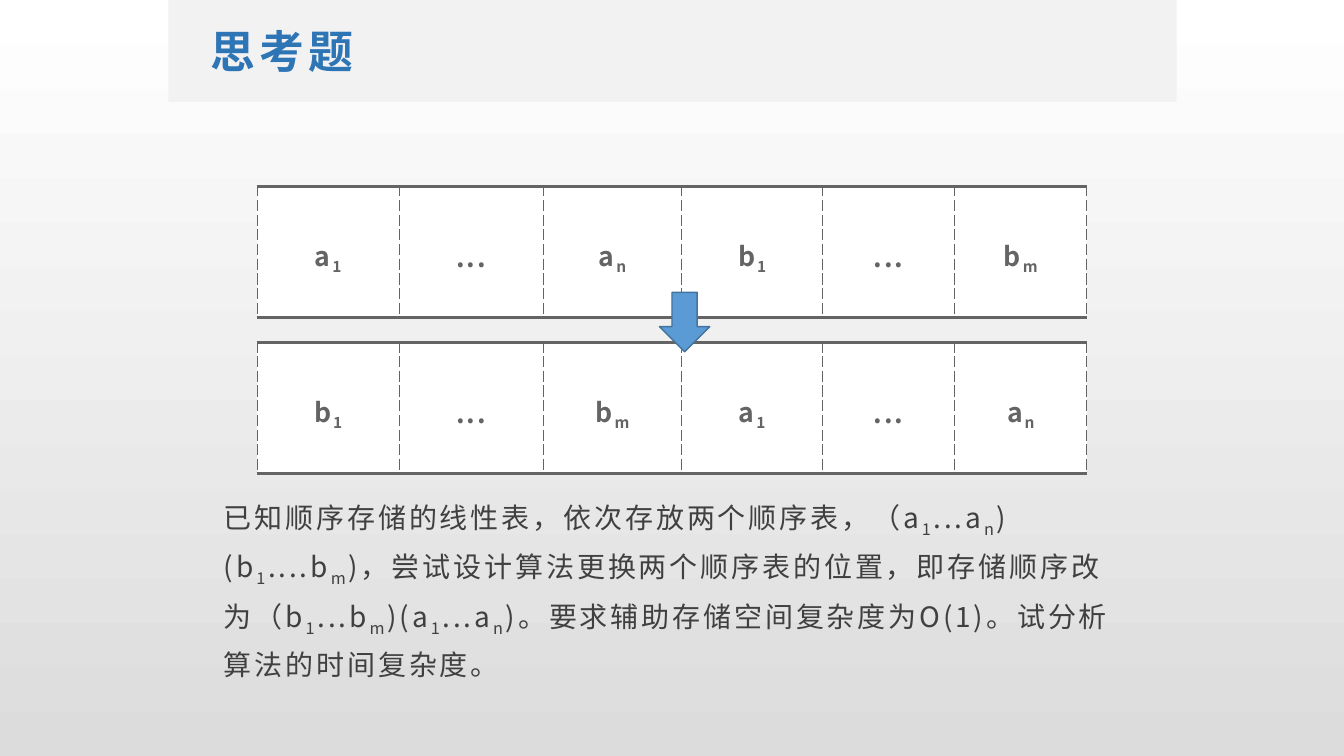
import pptx
import pptx.util
import pptx.dml.color
import pptx.enum.shapes
import pptx.enum.text
import pptx.oxml.ns
from lxml import etree

Inches = pptx.util.Inches
Pt = pptx.util.Pt
FONT = "Noto Sans CJK SC"
COLORS = {
    "top": "FFFFFF", "base": "DCDCDC", "band": "F2F2F2", "title": "2E75B6",
    "cell": "FFFFFF", "grid": "646464", "body": "404040",
    "arrow": "5B9BD5", "edge": "43739E",
}
WIDTHS = [1.41, 1.43, 1.37, 1.4, 1.31, 1.31]
LISTS = [
    (1.85, ["a_1", "...", "a_n", "b_1", "...", "b_m"]),
    (3.4, ["b_1", "...", "b_m", "a_1", "...", "a_n"]),
]
TASK = (
    "已知顺序存储的线性表，依次存放两个顺序表，（a_1...a_n)(b_1....b_m)，"
    "尝试设计算法更换两个顺序表的位置，即存储顺序改为（b_1...b_m)(a_1...a_n)。"
    "要求辅助存储空间复杂度为O(1)。试分析算法的时间复杂度。"
)


def color(name):
    return pptx.dml.color.RGBColor.from_string(COLORS[name])


def add_node(parent, tag, **attrs):
    return etree.SubElement(parent, pptx.oxml.ns.qn(tag), **attrs)


def add_run(para, text, sub=False):
    if text:
        run = para.add_run()
        run.text = text
        if sub:
            run.font._element.set("baseline", "-25000")


def write(para, text, size, name, gap, bold=False):
    font = para.font
    font.size = Pt(size)
    font.bold = bold
    font.color.rgb = color(name)
    font.name = FONT
    font._element.set("spc", str(round(gap * 100)))
    add_node(font._element, "a:ea", typeface=FONT)
    first, *parts = text.split("_")
    add_run(para, first)
    for part in parts:
        add_run(para, part[0], sub=True)
        add_run(para, part[1:])


def set_inset(frame, side, end):
    frame.margin_left = frame.margin_right = Inches(side)
    frame.margin_top = frame.margin_bottom = Inches(end)


def add_text(slide, box):
    frame = slide.shapes.add_textbox(*map(Inches, box)).text_frame
    frame.word_wrap = True
    set_inset(frame, 0.05, 0.02)
    return frame


def add_shape(slide, kind, box, fill, line=None):
    shape = slide.shapes.add_shape(kind, *map(Inches, box))
    shape.shadow.inherit = False
    shape.fill.solid()
    shape.fill.fore_color.rgb = color(fill)
    if line:
        shape.line.color.rgb = color(line)
        shape.line.width = Pt(1)
    else:
        shape.line.fill.background()


def set_edges(cell):
    props = cell._tc.get_or_add_tcPr()
    edges = [("L", 0.75, "sysDash"), ("R", 0.75, "sysDash"),
             ("T", 2.25, "solid"), ("B", 2.25, "solid")]
    for spot, (side, width, dash) in enumerate(edges):
        line = add_node(props, f"a:ln{side}", w=str(Pt(width)))
        fill = add_node(line, "a:solidFill")
        add_node(fill, "a:srgbClr", val=COLORS["grid"])
        add_node(line, "a:prstDash", val=dash)
        props.insert(spot, line)


def add_list(slide, top, items):
    box = map(Inches, (2.55, top, sum(WIDTHS), 1.3))
    table = slide.shapes.add_table(1, len(items), *box).table
    table.first_row = table.horz_banding = False
    for col, width, cell, item in zip(table.columns, WIDTHS, table.iter_cells(), items):
        col.width = Inches(width)
        cell.fill.solid()
        cell.fill.fore_color.rgb = color("cell")
        cell.vertical_anchor = pptx.enum.text.MSO_ANCHOR.MIDDLE
        set_inset(cell, 0.24, 0.15)
        set_edges(cell)
        para = cell.text_frame.paragraphs[0]
        para.alignment = pptx.enum.text.PP_ALIGN.CENTER
        para.line_spacing = 1.2
        write(para, item, 19, "grid", 1.3, bold=True)


def set_back(slide):
    fill = slide.background.fill
    fill.gradient()
    fill.gradient_angle = 270
    for stop, name in zip(fill.gradient_stops, ("top", "base")):
        stop.color.rgb = color(name)


def add_title(slide, text):
    frame = add_text(slide, (2.04, 0.17, 9.25, 0.67))
    frame.vertical_anchor = pptx.enum.text.MSO_ANCHOR.MIDDLE
    write(frame.paragraphs[0], text, 32, "title", 3, bold=True)


def add_task(slide, text):
    para = add_text(slide, (2.17, 4.83, 9, 2.33)).paragraphs[0]
    para.line_spacing = 1.3
    para.space_after = Pt(8)
    write(para, text, 20, "body", 2)


def main():
    deck = pptx.Presentation()
    deck.slide_width = Inches(13.33)
    deck.slide_height = Inches(7.5)
    slide = deck.slides.add_slide(deck.slide_layouts[6])
    kinds = pptx.enum.shapes.MSO_SHAPE
    set_back(slide)
    add_shape(slide, kinds.RECTANGLE, (1.67, 0, 10, 1.01), "band")
    add_title(slide, "思考题")
    for top, items in LISTS:
        add_list(slide, top, items)
    add_task(slide, TASK)
    add_shape(slide, kinds.DOWN_ARROW, (6.54, 2.9, 0.5, 0.59), "arrow", "edge")
    deck.save("out.pptx")


if __name__ == "__main__":
    main()
